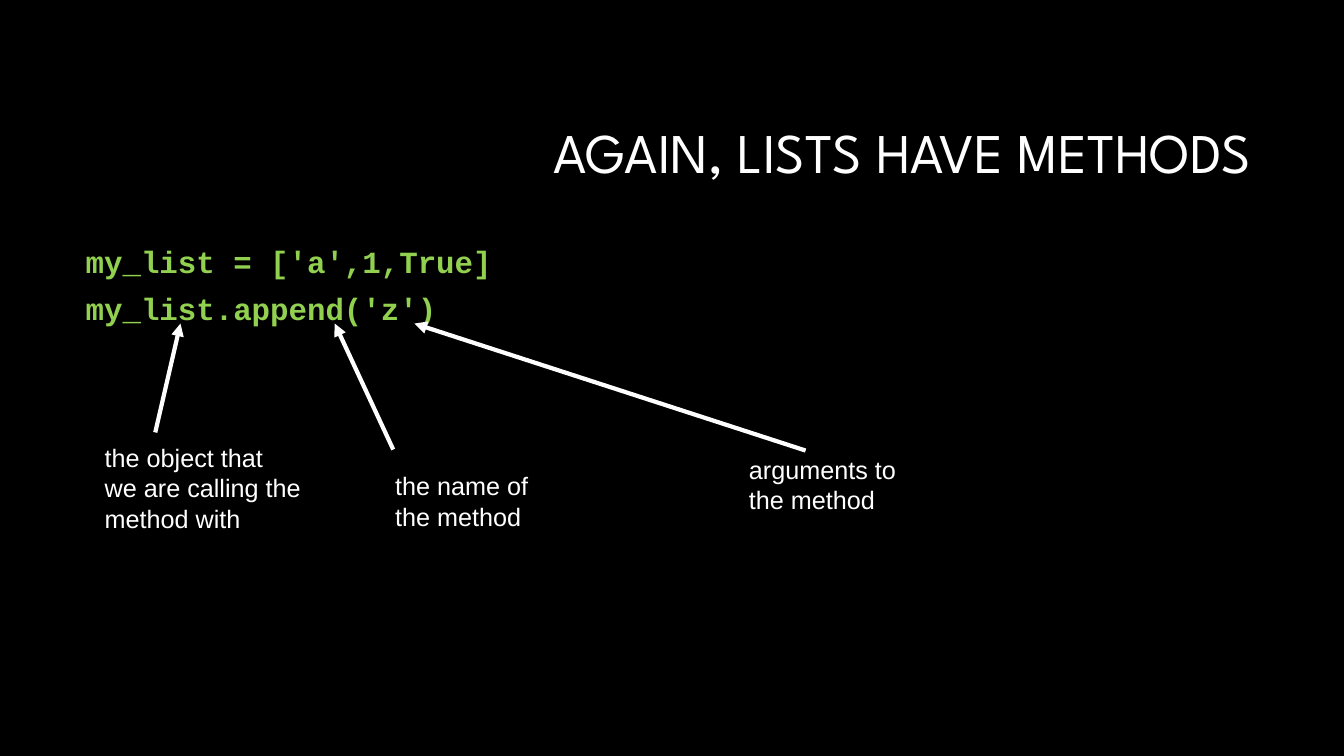
from dataclasses import dataclass

from lxml.etree import SubElement
from pptx import Presentation
from pptx.dml.color import RGBColor
from pptx.enum.shapes import MSO_CONNECTOR
from pptx.enum.text import MSO_ANCHOR, MSO_AUTO_SIZE, PP_ALIGN
from pptx.oxml.ns import qn
from pptx.util import Inches, Pt

WHITE, GREEN, BLACK = "FFFFFF", "92D050", "000000"


@dataclass
class Label:
    """A caption and the arrow from it to a part of the code."""
    lines: list[str]
    box: tuple[float, float, float, float]
    start: tuple[float, float]
    tip: tuple[float, float]


LABELS = [
    Label(["the object that", "we are calling the", "method with"],
          (0.94, 4.34, 2.17, 1.01), (1.54, 4.29), (1.79, 3.21)),
    Label(["the name of", "the method"],
          (3.82, 4.62, 1.6, 0.71), (3.9, 4.46), (3.32, 3.21)),
    Label(["arguments to", "the method"],
          (7.33, 4.46, 1.67, 0.71), (7.99, 4.47), (4.11, 3.21)),
]


def paint(code: str) -> RGBColor:
    """Turn a hex string into a colour."""
    return RGBColor.from_string(code)


def place(shape, box: tuple[float, float, float, float]) -> None:
    """Move and size a shape in inches."""
    shape.left, shape.top, shape.width, shape.height = map(Inches, box)


def write(shape, lines: list[str], *, font: str, size: float,
          color: str = WHITE, bold: bool = False, align=PP_ALIGN.LEFT,
          anchor=MSO_ANCHOR.TOP, wrap: bool = True, fit=MSO_AUTO_SIZE.NONE,
          spacing: float = 1.0, before: float = 0, hang: float = 0) -> None:
    """Fill a shape with formatted paragraphs."""
    frame = shape.text_frame
    frame.word_wrap, frame.auto_size = wrap, fit
    frame.vertical_anchor = anchor
    frame.text = "\n".join(lines)
    for para in frame.paragraphs:
        para.alignment, para.line_spacing = align, spacing
        para.space_before = Pt(before)
        props = para._p.get_or_add_pPr()
        props.set("marL", str(Inches(hang)))
        props.set("indent", str(-Inches(hang)))
        SubElement(props, qn("a:buNone"))
        style = para.runs[0].font
        style.name, style.size, style.bold = font, Pt(size), bold
        style.color.rgb = paint(color)


def point(slide, start: tuple[float, float], tip: tuple[float, float]) -> None:
    """Draw a white arrow from start to tip."""
    arrow = slide.shapes.add_connector(
        MSO_CONNECTOR.STRAIGHT, *map(Inches, start + tip))
    arrow.line.color.rgb = paint(WHITE)
    arrow.line.width = Pt(3)
    SubElement(arrow.line._get_or_add_ln(), qn("a:tailEnd"), type="triangle")
    SubElement(arrow._element.spPr, qn("a:effectLst"))


def annotate(slide, label: Label) -> None:
    """Draw one caption with its arrow."""
    text = slide.shapes.add_textbox(*map(Inches, label.box))
    write(text, label.lines, font="Arial", size=18, wrap=False,
          fit=MSO_AUTO_SIZE.SHAPE_TO_FIT_TEXT)
    point(slide, label.start, label.tip)


def main() -> None:
    """Build and save the slide."""
    deck = Presentation()
    deck.slide_width, deck.slide_height = Inches(13.33), Inches(7.5)
    slide = deck.slides.add_slide(deck.slide_layouts[1])
    fill = slide.background.fill
    fill.solid()
    fill.fore_color.rgb = paint(BLACK)

    title, body = slide.placeholders
    place(title, (3.17, 0.84, 9.42, 1.41))
    write(title, ["AGAIN, LISTS HAVE METHODS"], font="League Spartan", size=40,
          align=PP_ALIGN.RIGHT, anchor=MSO_ANCHOR.MIDDLE, spacing=0.9)
    title.text_frame.margin_right = Inches(0.18)
    place(body, (0.75, 2.4, 11.83, 4.4))
    write(body, ["my_list = ['a',1,True]", "my_list.append('z')"],
          font="Courier New", size=22, color=GREEN, bold=True,
          spacing=0.9, before=10, hang=0.25)
    for label in LABELS:
        annotate(slide, label)
    deck.save("out.pptx")


main()
